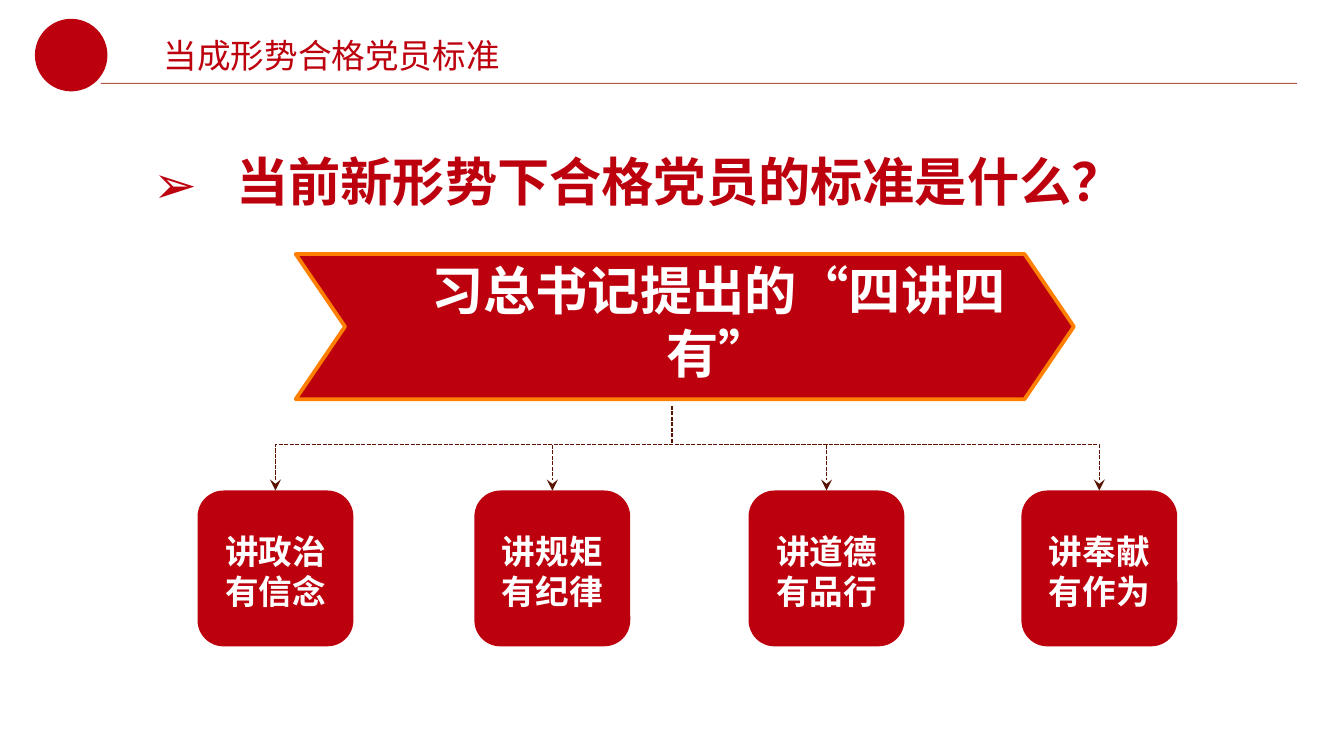
from dataclasses import dataclass

from lxml.etree import SubElement
from pptx import Presentation
from pptx.dml.color import RGBColor
from pptx.enum.dml import MSO_LINE
from pptx.enum.shapes import MSO_CONNECTOR, MSO_SHAPE
from pptx.enum.text import MSO_ANCHOR, PP_ALIGN
from pptx.oxml.ns import qn
from pptx.util import Inches, Pt


@dataclass(frozen=True)
class Theme:
    """Colours, font and type sizes of the deck."""
    red: RGBColor = RGBColor(0xBC, 0x00, 0x0D)
    white: RGBColor = RGBColor(0xFF, 0xFF, 0xFF)
    orange: RGBColor = RGBColor(0xFF, 0x80, 0x00)
    rule: RGBColor = RGBColor(0x8E, 0x1F, 0x0C)
    branch: RGBColor = RGBColor(0x59, 0x13, 0x00)
    font: str = "Noto Sans CJK SC"
    small: int = 18
    large: int = 28


THEME = Theme()
CARDS = {1.47: "讲政治\n有信念", 3.53: "讲规矩\n有纪律", 5.57: "讲道德\n有品行", 7.6: "讲奉献\n有作为"}
CARD_SIZE = 1.16


def add_text(page, box, text, size, color, bold=False, align=PP_ALIGN.LEFT,
             anchor=MSO_ANCHOR.TOP, wrap=True):
    """Add a text box with one paragraph per line and return its frame."""
    frame = page.shapes.add_textbox(*map(Inches, box)).text_frame
    frame.word_wrap = wrap
    frame.vertical_anchor = anchor
    frame.text = text
    for para in frame.paragraphs:
        para.alignment = align
        para.font.size = Pt(size)
        para.font.bold = bold
        para.font.color.rgb = color
        para.font.name = THEME.font
        for span in para.runs:
            properties = span._r.get_or_add_rPr()
            SubElement(properties, qn("a:ea")).set("typeface", THEME.font)
    return frame


def add_block(page, kind, box):
    """Add a plain red shape without outline or shadow."""
    shape = page.shapes.add_shape(kind, *map(Inches, box))
    shape.shadow.inherit = False
    shape.fill.solid()
    shape.fill.fore_color.rgb = THEME.red
    shape.line.fill.background()
    return shape


def style_branch(shape, ends=()):
    """Dash a branch line and put stealth arrowheads on the given ends."""
    shape.line.color.rgb = THEME.branch
    shape.line.width = Pt(0.75)
    shape.line.dash_style = MSO_LINE.SQUARE_DOT
    for end in ends:
        SubElement(shape.line._get_or_add_ln(), qn(f"a:{end}")).set("type", "stealth")


def add_line(page, start, end):
    """Add a straight connector without shadow."""
    line = page.shapes.add_connector(MSO_CONNECTOR.STRAIGHT, *map(Inches, start + end))
    SubElement(line._element.spPr, qn("a:effectLst"))
    return line


def add_header(page, left, top, width):
    """Place the emblem disc, the rule and the section title."""
    rule = add_line(page, (left + 0.49, top + 0.48), (left + width, top + 0.48))
    rule.line.color.rgb = THEME.rule
    rule.line.width = Pt(0.5)
    color = rule.line._get_or_add_ln().find(".//" + qn("a:srgbClr"))
    SubElement(color, qn("a:alpha")).set("val", "73000")
    add_block(page, MSO_SHAPE.OVAL, (left, top, 0.54, 0.54))
    add_text(page, (left + 0.86, top + 0.07, 4.43, 0.55), "当成形势合格党员标准",
             THEME.small, THEME.red)


def add_question(page, box):
    """Place the bulleted question."""
    frame = add_text(page, box, "当前新形势下合格党员的标准是什么？", THEME.large, THEME.red,
                     True, PP_ALIGN.JUSTIFY, wrap=False)
    properties = frame.paragraphs[0]._p.get_or_add_pPr()
    properties.set("marL", str(Inches(0.62)))
    properties.set("indent", str(Inches(-0.62)))
    typeface = properties.makeelement(qn("a:buFont"), {"typeface": THEME.font})
    bullet = properties.makeelement(qn("a:buChar"), {"char": "➢"})
    properties.insert(0, typeface)
    properties.insert(1, bullet)


def add_banner(page, left, top, width, height):
    """Place the chevron and its heading."""
    chevron = add_block(page, MSO_SHAPE.CHEVRON, (left, top, width, height))
    chevron.adjustments[0] = 0.34
    chevron.line.color.rgb = THEME.orange
    chevron.line.width = Pt(2)
    add_text(page, (left + 0.62, top + 0.25, width - 0.74, 0.5), "习总书记提出的“四讲四有”",
             THEME.large, THEME.white, True, PP_ALIGN.CENTER, MSO_ANCHOR.MIDDLE)


def add_cards(page, top):
    """Place the row of rounded cards."""
    for left, text in CARDS.items():
        add_block(page, MSO_SHAPE.ROUNDED_RECTANGLE, (left, top, CARD_SIZE, CARD_SIZE))
        add_text(page, (left + 0.1, top + 0.25, 0.96, 0.71), text, THEME.small,
                 THEME.white, True, PP_ALIGN.CENTER, wrap=False)


def add_branches(page, top, height):
    """Place the stem, the outer bracket and the inner arrows."""
    first, *inner, last = [left + CARD_SIZE / 2 for left in CARDS]
    bottom = top + height
    style_branch(add_line(page, (5, top - 0.29), (5, top)))
    builder = page.shapes.build_freeform(Inches(first), Inches(bottom))
    builder.add_line_segments(
        [(Inches(x), Inches(y)) for x, y in ((first, top), (last, top), (last, bottom))],
        close=False)
    bracket = builder.convert_to_shape()
    bracket.shadow.inherit = False
    bracket.fill.background()
    style_branch(bracket, ("headEnd", "tailEnd"))
    for x in inner:
        style_branch(add_line(page, (x, top), (x, bottom)), ("tailEnd",))


def main():
    """Build the slide and save it."""
    deck = Presentation()
    deck.slide_width = Inches(10)
    deck.slide_height = Inches(10 * 9 / 16)
    page = deck.slides.add_slide(deck.slide_layouts[6])
    add_header(page, 0.26, 0.14, 9.39)
    add_banner(page, 2.2, 1.89, 5.79, 1.08)
    add_question(page, (1.04, 1.06, 7.51, 0.57))
    add_cards(page, 3.65)
    add_branches(page, 3.31, 0.34)
    deck.save("out.pptx")


if __name__ == "__main__":
    main()
